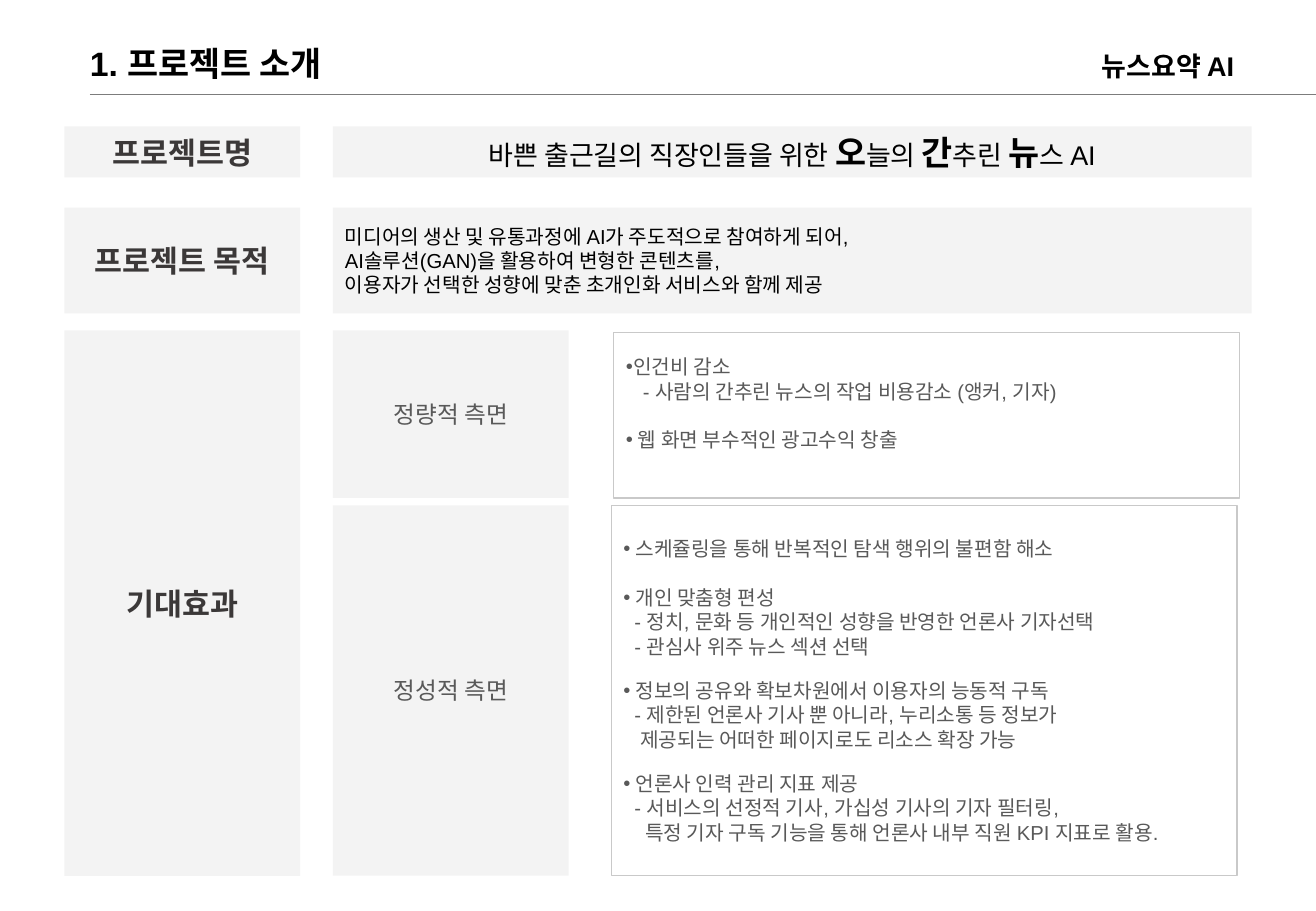
from dataclasses import dataclass

from lxml.etree import SubElement
from pptx import Presentation
from pptx.dml.color import RGBColor
from pptx.enum.shapes import MSO_CONNECTOR, MSO_SHAPE
from pptx.enum.text import MSO_ANCHOR, MSO_AUTO_SIZE, PP_ALIGN
from pptx.oxml.ns import qn
from pptx.util import Inches, Pt


@dataclass(frozen=True)
class Theme:
    black: str = "000000"
    dark: str = "3B3838"
    gray: str = "595959"
    panel: str = "E7E6E6"
    white: str = "FFFFFF"
    edge: str = "C9C9C9"
    rule: str = "7C7C7C"
    alpha: int = 47000
    font: str = "Arial"
    label: str = "Calibri"
    title: int = 20
    head: int = 18
    lead: int = 16
    side: int = 14
    body: int = 12


@dataclass(frozen=True)
class Style:
    face: str
    size: int
    color: str
    bold: bool = False
    align: PP_ALIGN = PP_ALIGN.CENTER


@dataclass(frozen=True)
class Box:
    left: float
    top: float
    width: float
    height: float

    def place(self):
        return [Inches(n) for n in (self.left, self.top, self.width, self.height)]


@dataclass(frozen=True)
class Panel:
    box: Box
    lines: tuple
    style: Style


@dataclass(frozen=True)
class Item:
    text: str
    left: float = 0.1
    hang: float = 0.1
    gap: float = 0
    dot: bool = True


@dataclass(frozen=True)
class Card:
    box: Box
    items: tuple
    foot: float = 0.05


T = Theme()
HEAD = Style(T.label, T.head, T.dark, True)
LEAD = Style(T.font, T.lead, T.black)
SIDE = Style(T.font, T.side, T.gray)
GOAL = Style(T.font, T.body, T.black, align=PP_ALIGN.LEFT)
LIST = Style(T.font, T.body, T.gray, align=PP_ALIGN.LEFT)
TITLE = Style(T.font, T.title, T.black, True, PP_ALIGN.LEFT)
TOPIC = Style(T.font, T.lead, T.black, True, PP_ALIGN.LEFT)

COL1, COL2, SLIM, WIDE = 0.53, 2.74, 1.94, 7.56
ROW1, ROW2, ROW3, ROW4 = (1.04, 0.42), (1.71, 0.87), (2.72, 1.38), (4.16, 3.05)
ROWS = (ROW3[0], 4.49)

PANELS = (
    Panel(Box(COL1, ROW1[0], SLIM, ROW1[1]), ("프로젝트명",), HEAD),
    Panel(Box(COL1, ROW2[0], SLIM, ROW2[1]), ("프로젝트 목적",), HEAD),
    Panel(Box(COL1, ROWS[0], SLIM, ROWS[1]), ("기대효과",), HEAD),
    Panel(Box(COL2, ROW1[0], WIDE, ROW1[1]),
          ("바쁜 출근길의 직장인들을 위한 *오*늘의 *간*추린 *뉴*스 AI",), LEAD),
    Panel(Box(COL2, ROW2[0], WIDE, ROW2[1]),
          ("미디어의 생산 및 유통과정에 AI가 주도적으로 참여하게 되어,",
           "AI솔루션(GAN)을 활용하여 변형한 콘텐츠를,",
           "이용자가 선택한 성향에 맞춘 초개인화 서비스와 함께 제공"), GOAL),
    Panel(Box(COL2, ROW3[0], SLIM, ROW3[1]), ("정량적 측면",), SIDE),
    Panel(Box(COL2, ROW4[0], SLIM, ROW4[1]), ("정성적 측면",), SIDE),
)

CARDS = (
    Card(Box(5.05, 2.74, 5.15, 1.36), (
        Item("인건비 감소", 0.06, 0.06),
        Item("- 사람의 간추린 뉴스의 작업 비용감소 (앵커, 기자)", 0.14, 0, dot=False),
        Item("웹 화면 부수적인 광고수익 창출", gap=14.4),
    ), foot=0.25),
    Card(Box(5.03, 4.16, 5.15, 3.05), (
        Item("스케쥴링을 통해 반복적인 탐색 행위의 불편함 해소"),
        Item("개인 맞춤형 편성", gap=14.4),
        Item("- 정치, 문화 등 개인적인 성향을 반영한 언론사 기자선택", 0.09, 0, dot=False),
        Item("- 관심사 위주 뉴스 섹션 선택", 0.09, 0, dot=False),
        Item("정보의 공유와 확보차원에서 이용자의 능동적 구독", gap=12),
        Item("- 제한된 언론사 기사 뿐 아니라, 누리소통 등 정보가\v"
             "제공되는 어떠한 페이지로도 리소스 확장 가능", 0.14, 0.05, dot=False),
        Item("언론사 인력 관리 지표 제공", gap=12),
        Item("- 서비스의 선정적 기사, 가십성 기사의 기자 필터링,\v"
             "특정 기자 구독 기능을 통해 언론사 내부 직원 KPI 지표로 활용.",
             0.18, 0.09, dot=False),
    )),
)


def rgb(code: str) -> RGBColor:
    return RGBColor.from_string(code)


def dress(para, style: Style) -> None:
    para.alignment = style.align
    font = para.font
    font.name, font.size, font.bold = style.face, Pt(style.size), style.bold
    font.color.rgb = rgb(style.color)


def paint(shape, code: str) -> None:
    shape.fill.solid()
    shape.fill.fore_color.rgb = rgb(code)


def add_panel(slide, panel: Panel) -> None:
    shape = slide.shapes.add_shape(MSO_SHAPE.RECTANGLE, *panel.box.place())
    shape.shadow.inherit = False
    paint(shape, T.panel)
    tint = shape.fill._xPr.find(qn("a:solidFill"))[0]
    SubElement(tint, qn("a:alpha")).set("val", str(T.alpha))
    shape.line.fill.background()
    frame = shape.text_frame
    frame.word_wrap = True
    frame.vertical_anchor = MSO_ANCHOR.MIDDLE
    for i, line in enumerate(panel.lines):
        para = frame.paragraphs[0] if i == 0 else frame.add_paragraph()
        dress(para, panel.style)
        for j, part in enumerate(line.split("*")):
            run = para.add_run()
            run.text = part
            if j % 2:
                run.font.size, run.font.bold = Pt(T.title), True


def add_card(shape, card: Card) -> None:
    shape.left, shape.top, shape.width, shape.height = card.box.place()
    paint(shape, T.white)
    shape.line.color.rgb = rgb(T.edge)
    shape.line.width = Pt(0.75)
    frame = shape.text_frame
    frame.auto_size = MSO_AUTO_SIZE.NONE
    frame.word_wrap = True
    frame.vertical_anchor = MSO_ANCHOR.MIDDLE
    frame.margin_bottom = Inches(card.foot)
    for i, item in enumerate(card.items):
        para = frame.paragraphs[0] if i == 0 else frame.add_paragraph()
        para.text = item.text
        props = para._p.get_or_add_pPr()
        props.set("marL", str(Inches(item.left)))
        props.set("indent", str(-Inches(item.hang)))
        if item.dot:
            SubElement(props, qn("a:buChar")).set("char", "•")
        else:
            SubElement(props, qn("a:buNone"))
        para.space_before = Pt(item.gap)
        dress(para, LIST)


def add_head(shape, box: Box, text: str, style: Style) -> None:
    shape.left, shape.top, shape.width, shape.height = box.place()
    frame = shape.text_frame
    frame.text = text
    frame.word_wrap = False
    frame.auto_size = MSO_AUTO_SIZE.NONE
    frame.vertical_anchor = MSO_ANCHOR.TOP
    dress(frame.paragraphs[0], style)


def add_rule(slide) -> None:
    rule = slide.shapes.add_connector(
        MSO_CONNECTOR.STRAIGHT, Inches(0.74), Inches(0.78), Inches(10.83), Inches(0.78))
    rule.line.color.rgb = rgb(T.rule)
    rule.line.width = Pt(0.5)
    SubElement(rule._element.spPr, qn("a:effectLst"))


def main() -> None:
    deck = Presentation()
    deck.slide_width, deck.slide_height = Inches(10.83), Inches(7.5)
    slide = deck.slides.add_slide(deck.slide_layouts[3])
    title, *bodies = slide.placeholders
    add_rule(slide)
    add_head(title, Box(0.64, 0.3, 2.32, 0.44), "1. 프로젝트 소개", TITLE)
    topic = Box(8.97, 0.36, 1.41, 0.37)
    add_head(slide.shapes.add_textbox(*topic.place()), topic, "뉴스요약 AI", TOPIC)
    for panel in PANELS:
        add_panel(slide, panel)
    for shape, card in zip(bodies, CARDS):
        add_card(shape, card)
    deck.save("out.pptx")


if __name__ == "__main__":
    main()
